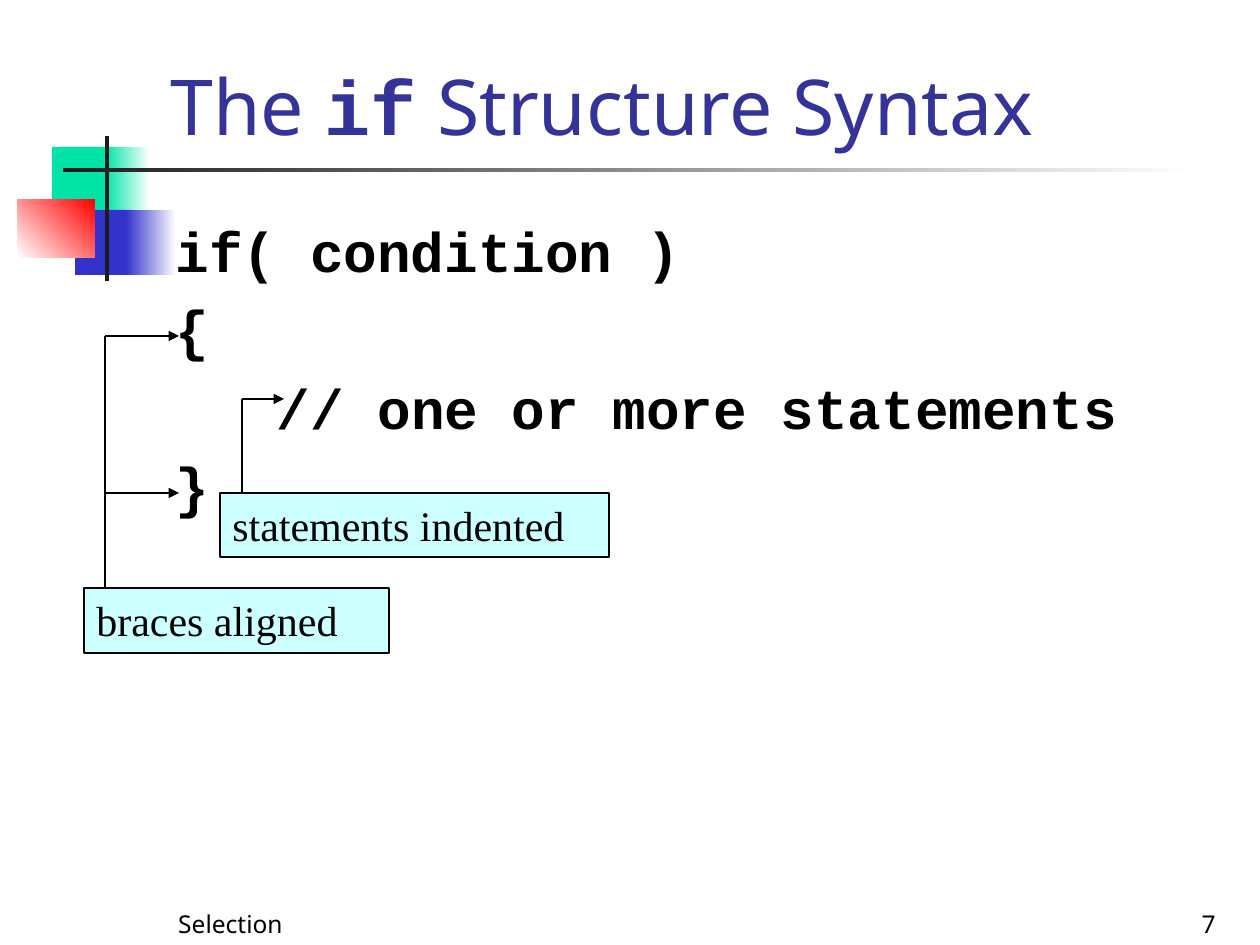
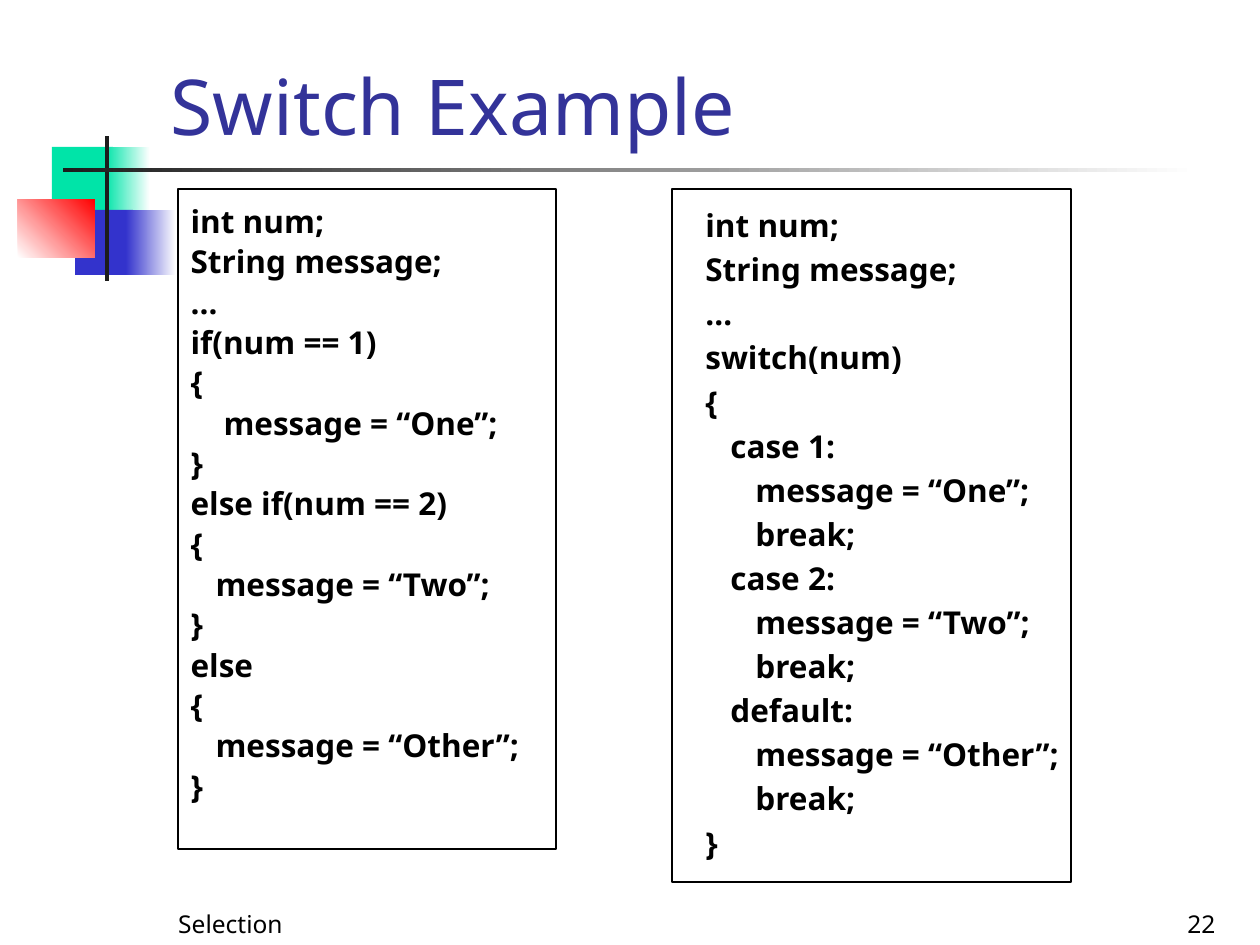
from dataclasses import dataclass

from lxml import etree
from pptx import Presentation
from pptx.dml.color import RGBColor
from pptx.enum.shapes import MSO_CONNECTOR, MSO_SHAPE
from pptx.enum.text import MSO_ANCHOR, MSO_AUTO_SIZE, PP_ALIGN
from pptx.oxml.ns import qn
from pptx.shapes.autoshape import Shape
from pptx.slide import Slide
from pptx.text.text import TextFrame
from pptx.util import Pt

RECTANGLE = MSO_SHAPE.RECTANGLE
STRAIGHT = MSO_CONNECTOR.STRAIGHT
TOP, BOTTOM = MSO_ANCHOR.TOP, MSO_ANCHOR.BOTTOM
LEFT, CENTER, RIGHT = PP_ALIGN.LEFT, PP_ALIGN.CENTER, PP_ALIGN.RIGHT
NO_FIT = MSO_AUTO_SIZE.NONE
GROW = MSO_AUTO_SIZE.SHAPE_TO_FIT_TEXT

EMU_PER_PIXEL = 914400 / 126
SANS, MONO, SERIF = "Noto Sans", "Courier New", "Times New Roman"
COLOURS = {
    "title": "333399",
    "text": "000000",
    "paper": "FFFFFF",
    "green": "00E4A8",
    "blue": "3333CC",
    "red": "FF0000",
    "rule": "1C1C1C",
    "label": "CCFFFF",
}


@dataclass(frozen=True)
class Box:
    left: int
    top: int
    width: int
    height: int

    def emu(self) -> tuple[int, ...]:
        return tuple(px(n) for n in (self.left, self.top, self.width, self.height))


@dataclass(frozen=True)
class Band:
    box: Box
    start: str
    end: str | None = None
    angle: int = 0


@dataclass(frozen=True)
class CodeStyle:
    font: str
    size: int
    line_spacing: float = 1.0


@dataclass(frozen=True)
class CodeLine:
    text: str
    indent: int = 0


@dataclass(frozen=True)
class Label:
    text: str
    box: Box


@dataclass(frozen=True)
class Pointer:
    start: tuple[int, int]
    end: tuple[int, int]
    arrow: bool = False


BANDS = [
    Band(Box(52, 147, 61, 66), "green"),
    Band(Box(105, 147, 45, 66), "green", "paper"),
    Band(Box(75, 210, 58, 65), "blue"),
    Band(Box(126, 210, 50, 65), "blue", "paper"),
    Band(Box(18, 199, 77, 59), "paper", "red", 45),
    Band(Box(105, 136, 4, 145), "rule"),
    Band(Box(63, 168, 1134, 4), "rule", "paper"),
]
TITLE_BOX = Box(158, 0, 1073, 157)
FOOTER_BOX = Box(31, 882, 399, 63)
NUMBER_BOX = Box(966, 882, 262, 63)

SYNTAX_STYLE = CodeStyle(MONO, 32)
IF_STYLE = CodeStyle(SANS, 18, 0.9)
SWITCH_STYLE = CodeStyle(SANS, 18)
SPACE_BEFORE_RATIO = 0.2
STEP = 25

SYNTAX_CODE = [
    CodeLine("if( condition )"),
    CodeLine("{"),
    CodeLine("// one or more statements", 101),
    CodeLine("}"),
]
DECLARATIONS = [CodeLine("int num;"), CodeLine("String message;"), CodeLine("…")]


def px(pixels: float) -> int:
    return round(pixels * EMU_PER_PIXEL)


def colour(name: str) -> RGBColor:
    return RGBColor.from_string(COLOURS[name])


def if_branch(condition: str, word: str, indent: int = STEP) -> list[CodeLine]:
    return [
        CodeLine(condition),
        CodeLine("{"),
        CodeLine(f"message = “{word}”;", indent),
        CodeLine("}"),
    ]


def switch_case(case: str, word: str) -> list[CodeLine]:
    return [
        CodeLine(case, STEP),
        CodeLine(f"message = “{word}”;", 2 * STEP),
        CodeLine("break;", 2 * STEP),
    ]


def add_rectangle(slide: Slide, box: Box) -> Shape:
    rectangle = slide.shapes.add_shape(RECTANGLE, *box.emu())
    rectangle.shadow.inherit = False
    return rectangle


def outline(rectangle: Shape) -> None:
    rectangle.line.color.rgb = colour("text")
    rectangle.line.width = Pt(0.75)


def draw_band(slide: Slide, band: Band) -> None:
    rectangle = add_rectangle(slide, band.box)
    rectangle.line.fill.background()
    if band.end is None:
        rectangle.fill.solid()
        rectangle.fill.fore_color.rgb = colour(band.start)
        return
    rectangle.fill.gradient()
    rectangle.fill.gradient_angle = band.angle
    for stop, name in zip(rectangle.fill.gradient_stops, (band.start, band.end)):
        stop.color.rgb = colour(name)


def place(shape: Shape, box: Box) -> None:
    shape.left, shape.top, shape.width, shape.height = box.emu()


def prepare(frame: TextFrame, anchor: MSO_ANCHOR) -> None:
    frame.auto_size = NO_FIT
    frame.word_wrap = True
    frame.vertical_anchor = anchor


def add_footer(slide: Slide, text: str, box: Box, alignment: PP_ALIGN) -> None:
    frame = slide.shapes.add_textbox(*box.emu()).text_frame
    prepare(frame, BOTTOM)
    paragraph = frame.paragraphs[0]
    paragraph.text = text
    paragraph.alignment = alignment
    paragraph.font.name = SANS
    paragraph.font.size = Pt(14)
    paragraph.font.color.rgb = colour("text")


def write_title(slide: Slide, parts: list[tuple[str, str]]) -> None:
    title = slide.shapes.title
    place(title, TITLE_BOX)
    prepare(title.text_frame, BOTTOM)
    paragraph = title.text_frame.paragraphs[0]
    paragraph.alignment = LEFT
    paragraph.font.size = Pt(44)
    paragraph.font.color.rgb = colour("title")
    for text, font in parts:
        run = paragraph.add_run()
        run.text = text
        run.font.name = font
        run.font.bold = font == MONO


def write_code(frame: TextFrame, lines: list[CodeLine], style: CodeStyle) -> None:
    prepare(frame, TOP)
    for number, line in enumerate(lines):
        paragraph = frame.add_paragraph() if number else frame.paragraphs[0]
        paragraph.text = line.text
        paragraph.alignment = LEFT
        paragraph.line_spacing = style.line_spacing
        paragraph.space_before = Pt(style.size * SPACE_BEFORE_RATIO)
        properties = paragraph._p.get_or_add_pPr()
        properties.set("marL", str(px(line.indent)))
        properties.set("indent", "0")
        etree.SubElement(properties, qn("a:buNone"))
        paragraph.font.name = style.font
        paragraph.font.size = Pt(style.size)
        paragraph.font.bold = True
        paragraph.font.color.rgb = colour("text")


def add_label(slide: Slide, label: Label) -> None:
    rectangle = add_rectangle(slide, label.box)
    rectangle.fill.solid()
    rectangle.fill.fore_color.rgb = colour("label")
    outline(rectangle)
    prepare(rectangle.text_frame, TOP)
    rectangle.text_frame.auto_size = GROW
    paragraph = rectangle.text_frame.paragraphs[0]
    paragraph.text = label.text
    paragraph.alignment = LEFT
    paragraph.font.name = SERIF
    paragraph.font.size = Pt(24)
    paragraph.font.color.rgb = colour("text")


def add_pointer(slide: Slide, pointer: Pointer) -> None:
    ends = [px(n) for n in pointer.start + pointer.end]
    connector = slide.shapes.add_connector(STRAIGHT, *ends)
    connector.line.color.rgb = colour("text")
    connector.line.width = Pt(0.75)
    if pointer.arrow:
        line = connector.line._get_or_add_ln()
        etree.SubElement(line, qn("a:tailEnd"), type="triangle")
    etree.SubElement(connector.element.spPr, qn("a:effectLst"))


def add_frame(slide: Slide, box: Box) -> None:
    rectangle = add_rectangle(slide, box)
    rectangle.fill.background()
    outline(rectangle)


def start_slide(
    deck: Presentation, number: int, title: list[tuple[str, str]], body_box: Box
) -> tuple[Slide, TextFrame]:
    slide = deck.slides.add_slide(deck.slide_layouts[1])
    body = slide.placeholders[1]
    for band in BANDS:
        draw_band(slide, band)
    add_footer(slide, "Selection", FOOTER_BOX, CENTER)
    add_footer(slide, str(number), NUMBER_BOX, RIGHT)
    write_title(slide, title)
    place(body, body_box)
    for placeholder in (slide.shapes.title, body):
        placeholder.element.getparent().append(placeholder.element)
    return slide, body.text_frame


def build_syntax_slide(deck: Presentation) -> None:
    title = [("The ", SANS), ("if", MONO), (" Structure Syntax", SANS)]
    slide, code = start_slide(deck, 7, title, Box(163, 210, 1071, 635))
    write_code(code, SYNTAX_CODE, SYNTAX_STYLE)
    add_label(slide, Label("braces aligned", Box(84, 588, 305, 65)))
    add_label(slide, Label("statements indented", Box(220, 493, 389, 64)))
    for pointer in (
        Pointer((105, 588), (105, 336)),
        Pointer((105, 336), (179, 336), True),
        Pointer((105, 493), (179, 493), True),
        Pointer((242, 493), (242, 399)),
        Pointer((242, 399), (284, 399), True),
    ):
        add_pointer(slide, pointer)


def build_switch_slide(deck: Presentation) -> None:
    title = [("Switch Example", SANS)]
    slide, if_code = start_slide(deck, 22, title, Box(178, 200, 378, 588))
    if_lines = [
        *DECLARATIONS,
        *if_branch("if(num == 1)", "One", 33),
        *if_branch("else if(num == 2)", "Two"),
        *if_branch("else", "Other"),
    ]
    write_code(if_code, if_lines, IF_STYLE)
    add_frame(slide, Box(178, 189, 378, 660))
    switch_lines = [
        *DECLARATIONS,
        CodeLine("switch(num)"),
        CodeLine("{"),
        *switch_case("case 1:", "One"),
        *switch_case("case 2:", "Two"),
        *switch_case("default:", "Other"),
        CodeLine("}"),
    ]
    switch_code = slide.shapes.add_textbox(*Box(693, 200, 399, 703).emu())
    write_code(switch_code.text_frame, switch_lines, SWITCH_STYLE)
    add_frame(slide, Box(672, 189, 399, 693))


presentation = Presentation()
presentation.slide_width, presentation.slide_height = px(1260), px(945)
build_syntax_slide(presentation)
build_switch_slide(presentation)
presentation.save("out.pptx")
